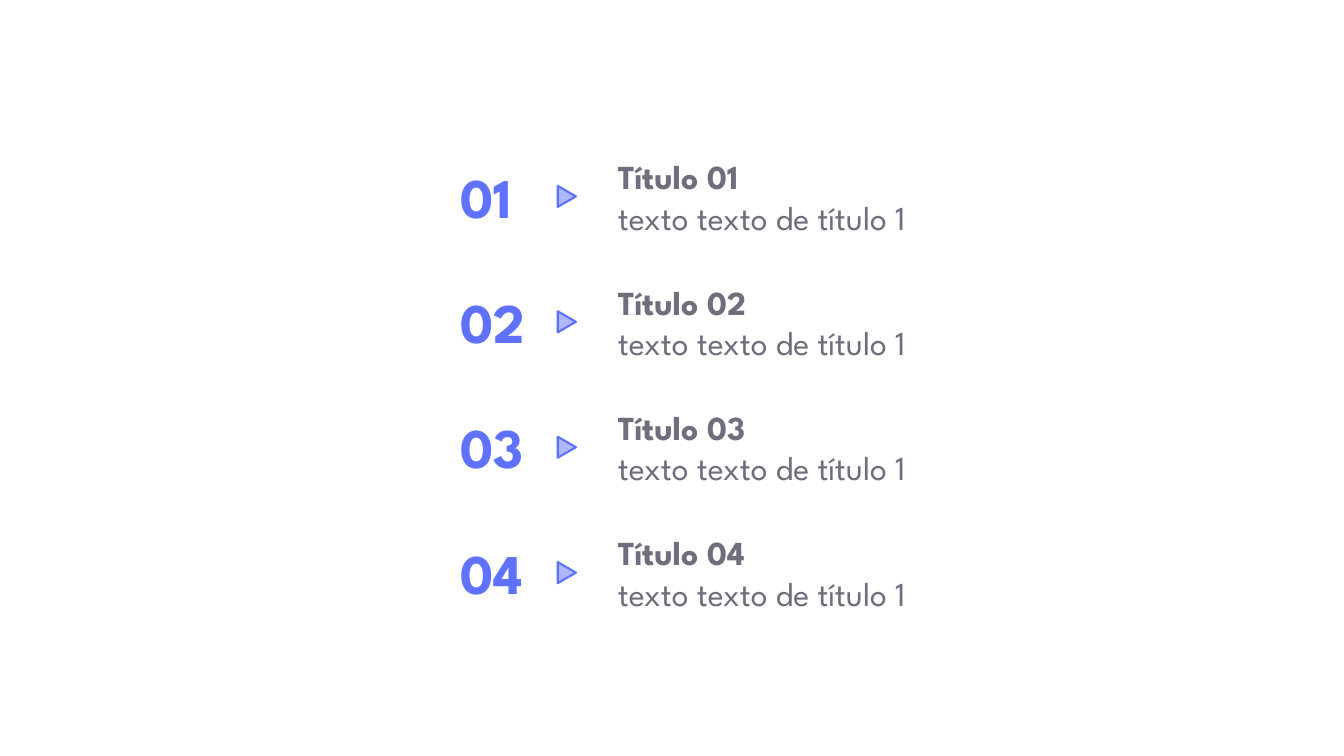
from dataclasses import dataclass

import lxml.etree
import pptx
import pptx.dml.color
import pptx.enum.shapes
import pptx.enum.text
import pptx.oxml.ns
import pptx.slide
import pptx.util

Cm = pptx.util.Cm


@dataclass(frozen=True)
class Theme:
    font: str = "League Spartan"
    accent: str = "5E71FF"
    body: str = "6E6E7C"
    background: str = "FFFFFF"
    number_size: int = 40
    body_size: int = 24
    marker_line: float = 1.5
    marker_opacity: int = 50


@dataclass(frozen=True)
class Frame:
    left: float
    top: float
    width: float
    height: float

    def lowered(self, distance: float) -> "Frame":
        return Frame(self.left, self.top + distance, self.width, self.height)

    def lengths(self) -> tuple[int, int, int, int]:
        return Cm(self.left), Cm(self.top), Cm(self.width), Cm(self.height)


@dataclass(frozen=True)
class AgendaItem:
    number: str
    title: str
    detail: str


THEME = Theme()

# First row of the agenda, in centimetres; later rows follow at a fixed pitch
NUMBER_FRAME = Frame(11.35, 3.96, 2.24, 1.96)
MARKER_FRAME = Frame(14.02, 4.72, 0.53, 0.46)
TEXT_FRAME = Frame(15.32, 3.81, 14.05, 2.31)
ROW_PITCH = 3.16

ITEMS = [
    AgendaItem(number, f"Título {number}", "texto texto de título 1")
    for number in ("01", "02", "03", "04")
]


def rgb(value: str) -> pptx.dml.color.RGBColor:
    return pptx.dml.color.RGBColor.from_string(value)


def add_text(page: pptx.slide.Slide, frame: Frame, lines: list[str], *,
             size: int, color: str, bold_lines: int = 1) -> None:
    """Add a text box whose first bold_lines paragraphs are bold."""
    box = page.shapes.add_textbox(*frame.lengths())
    box.text_frame.word_wrap = True
    box.text_frame.auto_size = pptx.enum.text.MSO_AUTO_SIZE.SHAPE_TO_FIT_TEXT
    for index, line in enumerate(lines):
        para = box.text_frame.paragraphs[0] if index == 0 else box.text_frame.add_paragraph()
        span = para.add_run()
        span.text = line
        span.font.name = THEME.font
        span.font.size = pptx.util.Pt(size)
        span.font.bold = index < bold_lines
        span.font.color.rgb = rgb(color)


def add_marker(page: pptx.slide.Slide, frame: Frame) -> None:
    """Add a half-transparent triangle that points right."""
    marker = page.shapes.add_shape(
        pptx.enum.shapes.MSO_SHAPE.ISOSCELES_TRIANGLE, *frame.lengths())
    marker.rotation = 90
    marker.shadow.inherit = False
    marker.fill.solid()
    marker.fill.fore_color.rgb = rgb(THEME.accent)
    marker.line.color.rgb = rgb(THEME.accent)
    marker.line.width = pptx.util.Pt(THEME.marker_line)
    qualified = pptx.oxml.ns.qn
    fill_color = marker.element.spPr.find(qualified("a:solidFill")).find(qualified("a:srgbClr"))
    lxml.etree.SubElement(fill_color, qualified("a:alpha"), val=str(THEME.marker_opacity * 1000))


def add_item(page: pptx.slide.Slide, item: AgendaItem, offset: float) -> None:
    add_text(page, NUMBER_FRAME.lowered(offset), [item.number],
             size=THEME.number_size, color=THEME.accent)
    add_marker(page, MARKER_FRAME.lowered(offset))
    add_text(page, TEXT_FRAME.lowered(offset), [item.title, item.detail],
             size=THEME.body_size, color=THEME.body)


def main() -> None:
    # Deck and blank page
    deck = pptx.Presentation()
    deck.slide_width, deck.slide_height = Cm(33.87), Cm(19.05)
    page = deck.slides.add_slide(deck.slide_layouts[6])
    page.background.fill.solid()
    page.background.fill.fore_color.rgb = rgb(THEME.background)

    # Agenda rows
    for row, item in enumerate(ITEMS):
        add_item(page, item, row * ROW_PITCH)

    deck.save("out.pptx")


if __name__ == "__main__":
    main()
